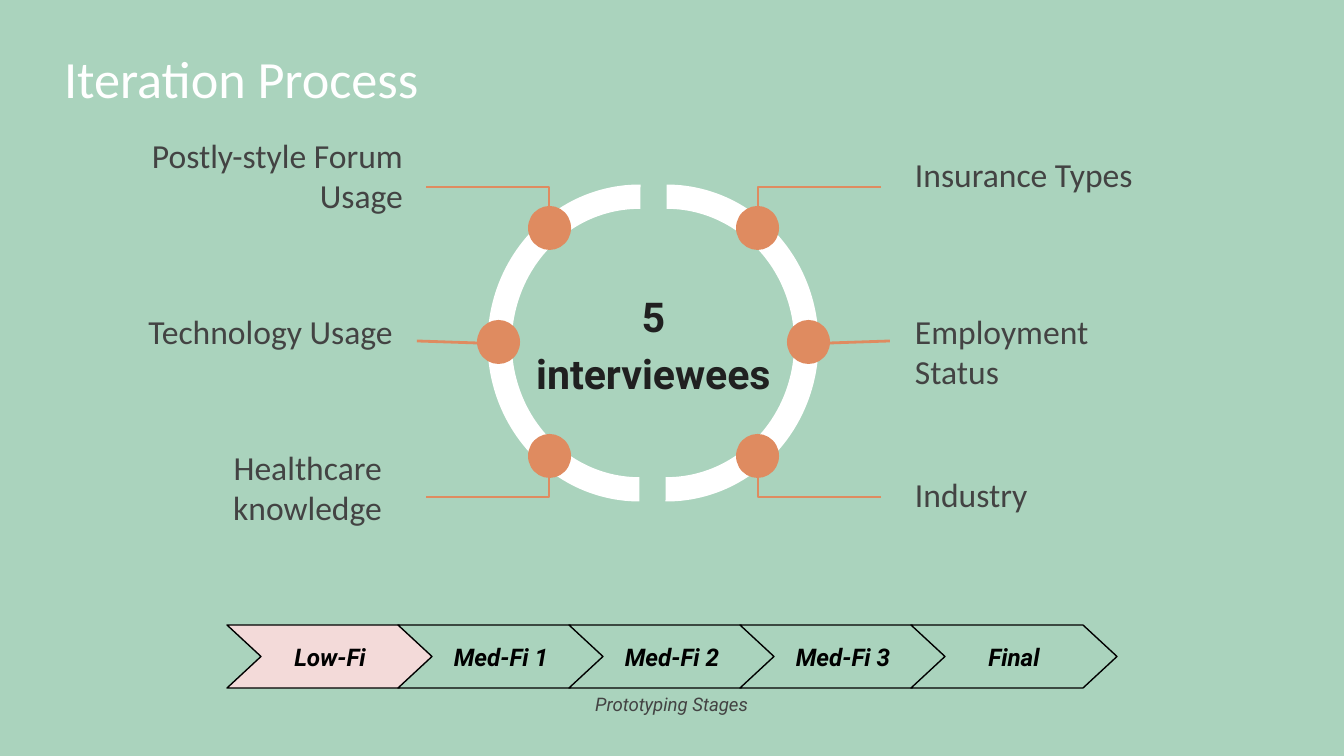
from lxml import etree
from pptx import Presentation
from pptx.dml.color import RGBColor
from pptx.enum.shapes import MSO_CONNECTOR, MSO_SHAPE
from pptx.enum.text import MSO_ANCHOR, MSO_AUTO_SIZE, PP_ALIGN
from pptx.oxml.ns import qn
from pptx.util import Emu, Pt

LEFT, CENTER, RIGHT = PP_ALIGN.LEFT, PP_ALIGN.CENTER, PP_ALIGN.RIGHT
TOP, MIDDLE, BOTTOM = MSO_ANCHOR.TOP, MSO_ANCHOR.MIDDLE, MSO_ANCHOR.BOTTOM
NO_AUTOFIT = MSO_AUTO_SIZE.NONE
ARC, DOT, CHEVRON = MSO_SHAPE.BLOCK_ARC, MSO_SHAPE.OVAL, MSO_SHAPE.CHEVRON
STRAIGHT, ELBOW = MSO_CONNECTOR.STRAIGHT, MSO_CONNECTOR.ELBOW

EMU_PER_PX = 914400 / 134.4
SLIDE_W, SLIDE_H = 1344, 756
INSET = 13
MIRROR = 1307
DOT_W, DOT_H = 43, 44
ARC_W, ARC_H = 317, 304
STAGE_LEFT, STAGE_TOP, STAGE_STEP = 227, 625, 171
STAGE_W, STAGE_H, STAGE_POINT = 206, 63, 34

COLORS = {
    "background": "AAD3BD",
    "active": "F3DAD9",
    "accent": "DF8B60",
    "white": "FFFFFF",
    "black": "000000",
    "label": "434343",
    "center": "202020",
}

STAGES = ["Low-Fi", "Med-Fi 1", "Med-Fi 2", "Med-Fi 3", "Final"]

LABELS = [
    ("Postly-style Forum Usage", (138, 122, 278, 106), RIGHT),
    ("Technology Usage", (128, 298, 278, 67), RIGHT),
    ("Healthcare knowledge", (73, 434, 322, 67), RIGHT),
    ("Insurance Types", (902, 141, 278, 67), LEFT),
    ("Employment Status", (902, 298, 278, 67), LEFT),
    ("Industry", (902, 461, 278, 67), LEFT),
]

LEFT_DOTS = [(528, 206), (477, 320), (528, 434)]

LEFT_LINES = [
    (ELBOW, (426, 187), (549, 206)),
    (STRAIGHT, (417, 341), (477, 343)),
    (ELBOW, (426, 497), (549, 478)),
]


def px(n):
    """Turn pixels into EMU."""
    return Emu(round(n * EMU_PER_PX))


def color(name):
    """Look up a named colour."""
    return RGBColor.from_string(COLORS[name])


def set_text(sp, text, font, size, fill, align=LEFT, anchor=TOP, inset=INSET,
             bold=False, italic=False):
    """Write one formatted paragraph into a shape."""
    tf = sp.text_frame
    tf.auto_size = NO_AUTOFIT
    tf.word_wrap = True
    tf.vertical_anchor = anchor
    tf.margin_left = tf.margin_right = tf.margin_top = tf.margin_bottom = px(inset)
    tf.text = text
    p = tf.paragraphs[0]
    p.alignment = align
    p.font.name = font
    p.font.size = Pt(size)
    p.font.bold = bold
    p.font.italic = italic
    p.font.color.rgb = color(fill)
    return p


def add_title(s, text):
    """Place the slide title."""
    sp = s.shapes.title
    sp.left, sp.top, sp.width, sp.height = map(px, (51, 31, 1062, 91))
    set_text(sp, text, "Calibri", 28, "white", anchor=BOTTOM)


def add_text(s, box, text, font, size, fill, **style):
    """Add a text box."""
    sp = s.shapes.add_textbox(*map(px, box))
    return set_text(sp, text, font, size, fill, **style)


def add_shape(s, kind, box, fill):
    """Add a filled shape without outline."""
    sp = s.shapes.add_shape(kind, *map(px, box))
    sp.shadow.inherit = False
    sp.fill.solid()
    sp.fill.fore_color.rgb = color(fill)
    sp.line.fill.background()
    return sp


def add_arc(s, left, rotation):
    """Add one half of the ring."""
    sp = add_shape(s, ARC, (left, 191, ARC_W, ARC_H), "white")
    sp.rotation = rotation
    for i, value in enumerate((108, 0.23, 0.08)):
        sp.adjustments[i] = value


def add_line(s, kind, start, end):
    """Add a straight line or a single-bend connector."""
    sp = s.shapes.add_connector(kind, *map(px, start + end))
    sp.line.color.rgb = color("accent")
    sp.line.width = Pt(1.5)
    props = sp._element.spPr
    if kind == ELBOW:
        props.find(qn("a:prstGeom")).set("prst", "bentConnector2")
    etree.SubElement(props, qn("a:effectLst"))


def add_stage(s, index, text):
    """Add one chevron of the prototyping timeline."""
    box = (STAGE_LEFT + index * STAGE_STEP, STAGE_TOP, STAGE_W, STAGE_H)
    sp = add_shape(s, CHEVRON, box, "background" if index else "active")
    sp.adjustments[0] = STAGE_POINT / STAGE_H
    sp.line.color.rgb = color("black")
    sp.line.width = Pt(0.75)
    set_text(sp, text, "Roboto", 13, "black", align=CENTER, anchor=MIDDLE,
             inset=0, bold=True, italic=True)


def main():
    """Build the slide and save it."""
    prs = Presentation()
    prs.slide_width, prs.slide_height = px(SLIDE_W), px(SLIDE_H)
    s = prs.slides.add_slide(prs.slide_layouts[5])
    s.background.fill.solid()
    s.background.fill.fore_color.rgb = color("background")

    add_title(s, "Iteration Process")
    for i, stage in enumerate(STAGES):
        add_stage(s, i, stage)
    p = add_text(s, (521, 680, 301, 52), "Prototyping Stages", "Roboto", 10,
                 "label", align=CENTER, italic=True)
    p.space_after = Pt(16)

    add_arc(s, 481, 270)
    add_arc(s, 508, 90)
    for left, top in LEFT_DOTS:
        for x in (left, MIRROR - DOT_W - left):
            add_shape(s, DOT, (x, top, DOT_W, DOT_H), "accent")
    for kind, (x1, y1), (x2, y2) in LEFT_LINES:
        add_line(s, kind, (x1, y1), (x2, y2))
        add_line(s, kind, (MIRROR - x1, y1), (MIRROR - x2, y2))

    for text, box, align in LABELS:
        add_text(s, box, text, "Calibri", 18, "label", align=align)
    p = add_text(s, (521, 271, 265, 56), "5 interviewees", "Roboto", 22,
                 "center", align=CENTER, bold=True)
    p.line_spacing = 1.15
    p.space_after = Pt(16)

    prs.save("out.pptx")


if __name__ == "__main__":
    main()
